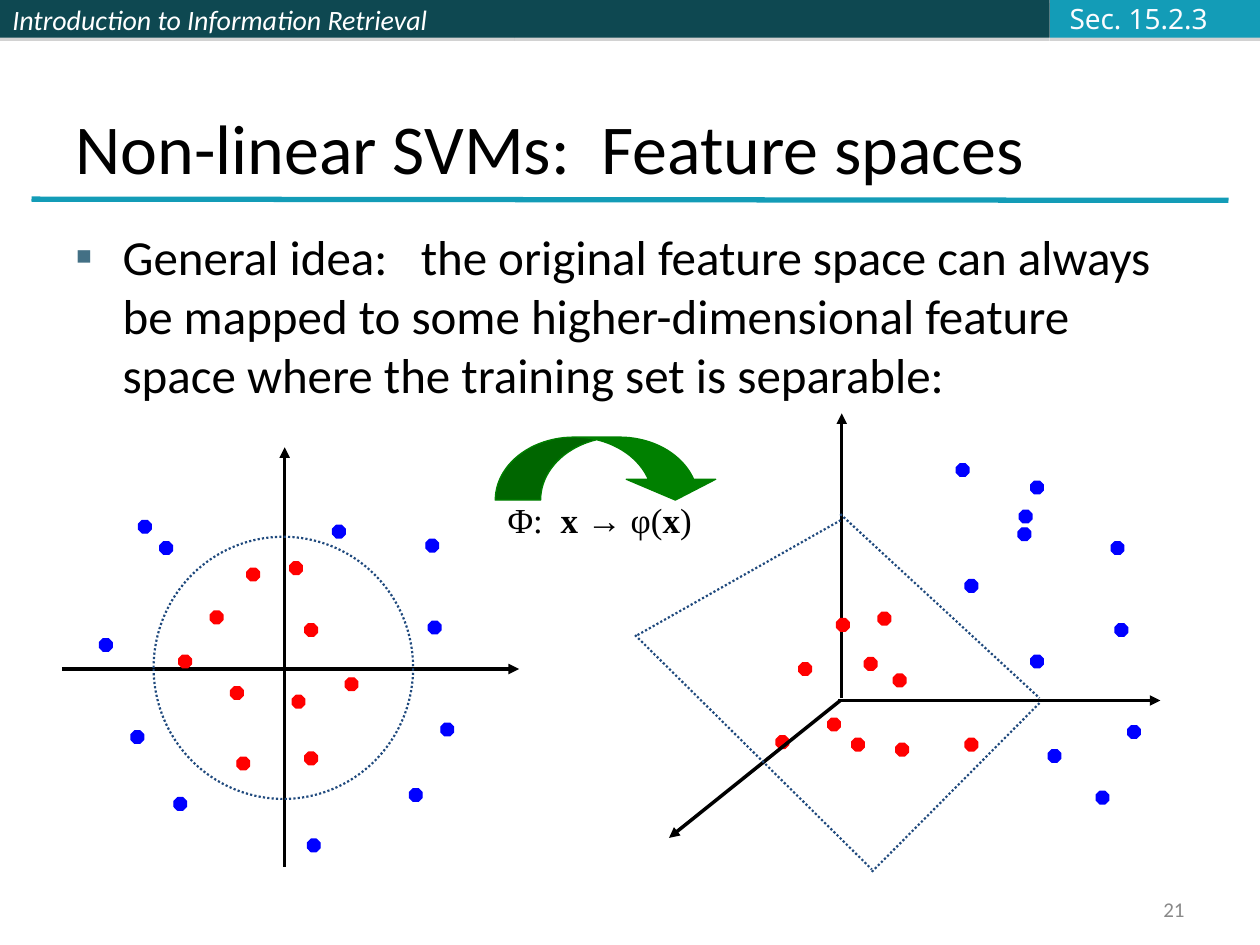
from lxml.etree import SubElement
from pptx import Presentation
from pptx.dml.color import RGBColor
from pptx.enum.dml import MSO_LINE
from pptx.enum.shapes import MSO_CONNECTOR, MSO_SHAPE
from pptx.enum.text import MSO_ANCHOR, PP_ALIGN
from pptx.oxml.ns import qn
from pptx.util import Pt

COLORS = {
    "header": "0E4851", "accent": "139CB7", "shadow": "808080",
    "white": "FFFFFF", "section": "FBFCFF", "black": "000000",
    "page": "898989", "bullet": "437085", "boundary": "1F497D",
    "red": "FF0000", "blue": "0000FF", "green": "008000",
}
DOT_SIZE = 7.2

# Left and top of every training point, by feature space and class
ORIGINAL_SPACE = {
    "red": [(165.6, 321.1), (120.2, 349.2), (131.8, 392.4), (174.2, 429.8),
            (141.1, 324.7), (102.2, 374.4), (135.4, 432.7), (174.2, 356.4),
            (197.3, 387.4), (167, 397.4)],
    "blue": [(244.8, 355), (234, 450.7), (56.9, 365), (175.7, 479.5),
             (252, 413.3), (99.4, 455.8), (74.9, 417.6), (79.2, 297.4),
             (190.1, 300.2), (91.4, 309.6), (243.4, 308.2)],
}
MAPPED_SPACE = {
    "red": [(501.8, 349.9), (456.5, 378.7), (486.7, 421.9), (551.5, 421.9),
            (478.1, 353.5), (493.9, 375.8), (511.9, 424.8), (510.5, 385.2),
            (473, 410.4), (443.5, 420.5)],
    "blue": [(637.2, 356.4), (626.4, 452.2), (589, 275), (589, 374.4),
             (644.4, 414.7), (551.5, 331.2), (599, 428.4), (582.5, 291.6),
             (581.8, 301.7), (546.5, 265), (635, 309.6)],
}
ORIGINAL_AXES = [((162.7, 495.4), (162.7, 255.6)), ((35.3, 382.3), (296.6, 382.3))]
MAPPED_AXES = [((481, 399), (481, 236.2)), ((479, 400.3), (663.1, 400.3))]
DEPTH_AXIS = ((480.2, 400.3), (382.3, 478.8))
PLANE_EDGES = [((480.2, 293.8), (594, 398.9)), ((498.2, 498.2), (594, 401.8)),
               ((364.3, 362.9), (480.2, 297.4)), ((362.9, 362.9), (498.2, 496.8))]


def rgb(name):
    return RGBColor.from_string(COLORS[name])


def style_run(run, size, color, font="Calibri", bold=False, italic=False):
    run.font.size = Pt(size)
    run.font.name = font
    run.font.bold = bold
    run.font.italic = italic
    run.font.color.rgb = rgb(color)


def add_preset(slide, preset, box, fill=None, line=None):
    shape = slide.shapes.add_shape(preset, *map(Pt, box))
    shape.shadow.inherit = False
    if fill:
        shape.fill.solid()
        shape.fill.fore_color.rgb = rgb(fill)
    else:
        shape.fill.background()
    if line:
        shape.line.color.rgb = rgb(line)
        shape.line.width = Pt(0.75)
    else:
        shape.line.fill.background()
    return shape


def add_label(slide, box, text, size, color, font="Calibri", anchor=MSO_ANCHOR.TOP):
    label = slide.shapes.add_textbox(*map(Pt, box))
    frame = label.text_frame
    frame.word_wrap = True
    frame.vertical_anchor = anchor
    frame.text = text
    style_run(frame.paragraphs[0].runs[0], size, color, font)
    return frame.paragraphs[0]


def add_line(slide, start, end, color, width):
    line = slide.shapes.add_connector(MSO_CONNECTOR.STRAIGHT, *map(Pt, start + end))
    line.line.color.rgb = rgb(color)
    line.line.width = Pt(width)
    SubElement(line._element.spPr, qn("a:effectLst"))
    return line


def add_axis(slide, start, end):
    axis = add_line(slide, start, end, "black", 2)
    SubElement(axis._element.spPr.find(qn("a:ln")), qn("a:tailEnd"), type="triangle")


def add_dots(slide, space):
    for color, places in space.items():
        for left, top in places:
            add_preset(slide, MSO_SHAPE.OCTAGON, (left, top, DOT_SIZE, DOT_SIZE),
                       color, color)


def add_header_band(slide, left, width, color):
    band = add_preset(slide, MSO_SHAPE.RECTANGLE, (left, 0, width, 21.6), color)
    effects = band._element.spPr.find(qn("a:effectLst"))
    shadow = SubElement(effects, qn("a:outerShdw"), blurRad="0",
                        dist=str(Pt(1.8)), dir="5400000", rotWithShape="0")
    tone = SubElement(shadow, qn("a:srgbClr"), val=COLORS["shadow"])
    SubElement(tone, qn("a:alpha"), val="35000")
    return band


def add_header(slide):
    course = add_header_band(slide, 0, 293.8, "header").text_frame
    add_header_band(slide, 293.8, 306, "header")
    add_header_band(slide, 600, 120, "accent")
    course.text = "Introduction to Information Retrieval"
    course.vertical_anchor = MSO_ANCHOR.MIDDLE
    course.paragraphs[0].alignment = PP_ALIGN.LEFT
    style_run(course.paragraphs[0].runs[0], 16, "white", italic=True)
    add_label(slide, (604.1, -2.9, 100, 26.6), "Sec. 15.2.3", 16, "section",
              "Noto Sans", MSO_ANCHOR.MIDDLE)
    add_line(slide, (18, 113.8), (702, 114.5), "accent", 3)


def set_title(slide, text):
    title = slide.shapes.title
    title.left, title.top, title.width, title.height = map(Pt, (36, 21.6, 648, 90))
    frame = title.text_frame
    frame.text = text
    frame.vertical_anchor = MSO_ANCHOR.BOTTOM
    frame.paragraphs[0].alignment = PP_ALIGN.LEFT
    style_run(frame.paragraphs[0].runs[0], 40, "black")


def add_bullet_text(slide, text):
    idea = add_label(slide, (36, 126, 648, 390), text, 28, "black")
    idea.space_before = Pt(7)
    properties = idea._p.get_or_add_pPr()
    properties.set("marL", str(Pt(27)))
    properties.set("indent", str(Pt(-27)))
    bullet_color = SubElement(properties, qn("a:buClr"))
    SubElement(bullet_color, qn("a:srgbClr"), val=COLORS["bullet"])
    SubElement(properties, qn("a:buFont"), typeface="Calibri")
    SubElement(properties, qn("a:buChar"), char="▪")


def add_mapping(slide):
    """Curved arrow between the two spaces, with the mapping formula below."""
    arrow = add_preset(slide, MSO_SHAPE.CURVED_DOWN_ARROW, (283, 249.8, 128.5, 36),
                       "green", "green")
    for index, ratio in enumerate((0.72, 1.42, 0.33)):
        arrow.adjustments[index] = ratio
    formula = add_label(slide, (283, 281.5, 130, 34.6), "Φ:  ", 20, "black",
                        "Times New Roman")
    formula.space_before = Pt(12.5)
    for text, bold in (("x → ", True), ("φ(", False), ("x", True), (")", False)):
        run = formula.add_run()
        run.text = text
        style_run(run, 20, "black", "Times New Roman", bold)


def add_boundaries(slide):
    circle = add_preset(slide, MSO_SHAPE.OVAL, (87.8, 306.7, 148.3, 149.8),
                        line="boundary")
    edges = [add_line(slide, *edge, "boundary", 1.25) for edge in PLANE_EDGES]
    for boundary in [circle, *edges]:
        boundary.line.width = Pt(1.25)
        boundary.line.dash_style = MSO_LINE.ROUND_DOT


def main():
    deck = Presentation()
    deck.slide_width, deck.slide_height = Pt(720), Pt(540)
    slide = deck.slides.add_slide(deck.slide_layouts[5])
    add_header(slide)
    set_title(slide, "Non-linear SVMs:  Feature spaces")
    add_bullet_text(slide, "General idea:   the original feature space can always be "
                           "mapped to some higher-dimensional feature space where "
                           "the training set is separable:")
    for axes, space in ((ORIGINAL_AXES, ORIGINAL_SPACE), (MAPPED_AXES, MAPPED_SPACE)):
        for start, end in axes:
            add_axis(slide, start, end)
        add_dots(slide, space)
    add_axis(slide, *DEPTH_AXIS)
    add_boundaries(slide)
    add_mapping(slide)
    page = add_label(slide, (516.2, 509.8, 167.8, 19.4), "21", 12, "page",
                     anchor=MSO_ANCHOR.MIDDLE)
    page.alignment = PP_ALIGN.RIGHT
    deck.save("out.pptx")


if __name__ == "__main__":
    main()
